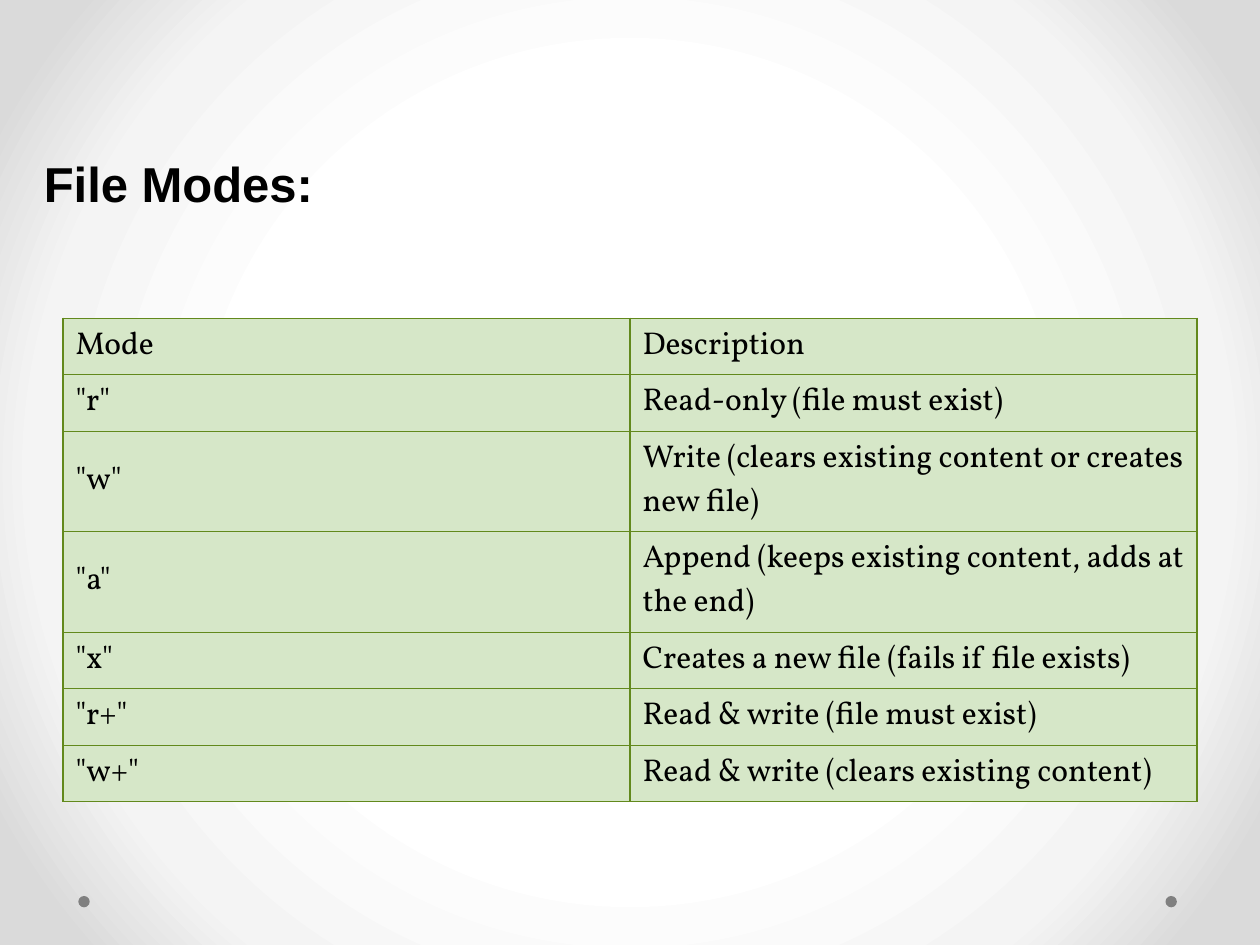
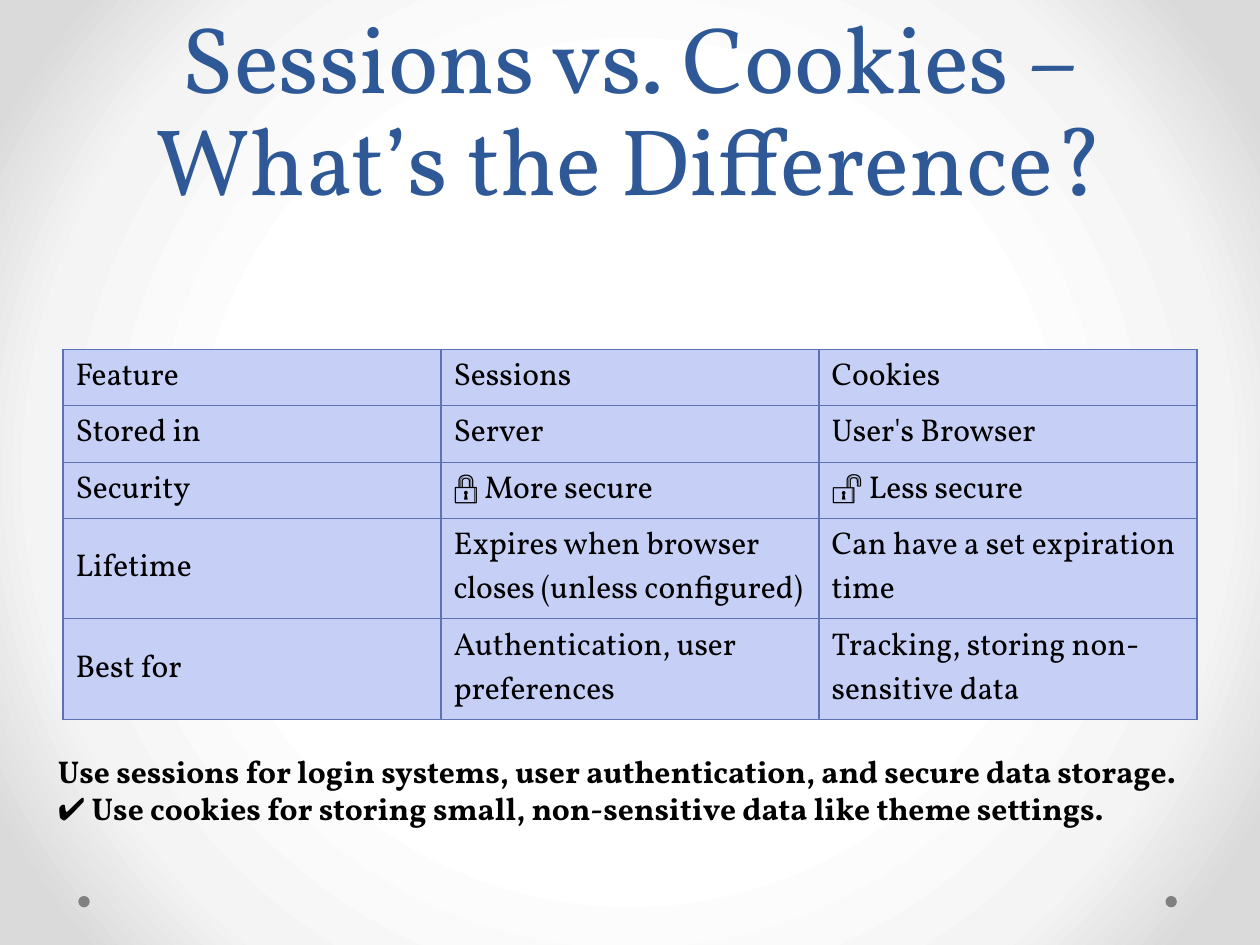
from pptx import Presentation
from pptx.dml.color import RGBColor
from pptx.enum.shapes import MSO_SHAPE
from pptx.enum.text import MSO_ANCHOR, PP_ALIGN
from pptx.oxml import parse_xml
from pptx.oxml.ns import nsdecls
from pptx.util import Pt

ELLIPSE = MSO_SHAPE.OVAL
TOP, MIDDLE, BOTTOM = MSO_ANCHOR.TOP, MSO_ANCHOR.MIDDLE, MSO_ANCHOR.BOTTOM
LEFT, CENTER = PP_ALIGN.LEFT, PP_ALIGN.CENTER

SLIDE_WIDTH, SLIDE_HEIGHT = 720, 540
BODY_FONT, HEADING_FONT = "Vollkorn", "Arial"
BLACK, TITLE_BLUE, DOT_GRAY = "000000", "2F5897", "808080"
GREEN_FILL, GREEN_LINE = "D6E7C8", "62891C"
BLUE_FILL, BLUE_LINE = "C6CFF5", "5C72B2"
BACKDROP_STOPS = [(50, "FFFFFF"), (76, "F4F4F4"), (92, "DADADA")]
DOT_SIZE, DOT_TOP, DOT_LEFTS = 6.5, 512, (44.75, 666)
TABLE_LEFT, TABLE_WIDTH = 36, 648
LINE_HEIGHT, CELL_PADDING = 25, 7.3

FILE_MODES = [
    ("Mode", "Description"),
    ('"r"', "Read-only (file must exist)"),
    ('"w"', "Write (clears existing content or creates new file)"),
    ('"a"', "Append (keeps existing content, adds at the end)"),
    ('"x"', "Creates a new file (fails if file exists)"),
    ('"r+"', "Read & write (file must exist)"),
    ('"w+"', "Read & write (clears existing content)"),
]
COMPARISON = [
    ("Feature", "Sessions", "Cookies"),
    ("Stored in", "Server", "User's Browser"),
    ("Security", "🔒 More secure", "🔓 Less secure"),
    ("Lifetime", "Expires when browser closes (unless configured)",
     "Can have a set expiration time"),
    ("Best for", "Authentication, user preferences",
     "Tracking, storing non-sensitive data"),
]


def color(value):
    return RGBColor.from_string(value)


def write(paragraph, text, font=BODY_FONT, size=18, ink=BLACK, bold=False):
    """Append a run, turning each newline into a line break."""
    for index, line in enumerate(text.split("\n")):
        if index:
            paragraph.add_line_break()
        if line:
            run = paragraph.add_run()
            run.text = line
            run.font.name = font
            run.font.size = Pt(size)
            run.font.bold = bold
            run.font.color.rgb = color(ink)


def add_text_box(slide, box, anchor=TOP, align=LEFT, spacing=None):
    """Add an empty text box and return its first paragraph."""
    frame = slide.shapes.add_textbox(*map(Pt, box)).text_frame
    frame.word_wrap = True
    frame.vertical_anchor = anchor
    paragraph = frame.paragraphs[0]
    paragraph.alignment = align
    if spacing:
        paragraph.line_spacing = Pt(spacing)
    return paragraph


def add_background(slide):
    stops = "".join(
        f'<a:gs pos="{position * 1000}"><a:srgbClr val="{value}"/></a:gs>'
        for position, value in BACKDROP_STOPS)
    background = parse_xml(
        f'<p:bg {nsdecls("p", "a")}><p:bgPr><a:gradFill rotWithShape="1">'
        f'<a:gsLst>{stops}</a:gsLst><a:path path="circle">'
        '<a:fillToRect l="50000" t="50000" r="50000" b="50000"/></a:path>'
        '</a:gradFill><a:effectLst/></p:bgPr></p:bg>')
    slide.element.cSld.insert(0, background)


def add_base_slide(presentation):
    slide = presentation.slides.add_slide(presentation.slide_layouts[6])
    add_background(slide)
    for left in DOT_LEFTS:
        dot = slide.shapes.add_shape(
            ELLIPSE, Pt(left), Pt(DOT_TOP), Pt(DOT_SIZE), Pt(DOT_SIZE))
        dot.shadow.inherit = False
        dot.fill.solid()
        dot.fill.fore_color.rgb = color(DOT_GRAY)
        dot.line.fill.background()
    return slide


def style_cell(cell, fill, line):
    properties = cell._tc.get_or_add_tcPr()
    for side in ("lnL", "lnR", "lnT", "lnB"):
        properties.append(parse_xml(
            f'<a:{side} {nsdecls("a")} w="{Pt(0.75)}"><a:solidFill>'
            f'<a:srgbClr val="{line}"/></a:solidFill></a:{side}>'))
    cell.fill.solid()
    cell.fill.fore_color.rgb = color(fill)
    cell.vertical_anchor = MIDDLE


def add_grid(slide, top, rows, two_line_rows, fill, line):
    """Add a table with equal columns; two_line_rows lists the taller rows."""
    line_counts = [2 if index in two_line_rows else 1
                   for index in range(len(rows))]
    heights = [count * LINE_HEIGHT + CELL_PADDING for count in line_counts]
    columns = len(rows[0])
    table = slide.shapes.add_table(
        len(rows), columns, Pt(TABLE_LEFT), Pt(top),
        Pt(TABLE_WIDTH), Pt(sum(heights))).table
    table.first_row = table.horz_banding = False
    for column in table.columns:
        column.width = Pt(TABLE_WIDTH / columns)
    for row_index, texts in enumerate(rows):
        table.rows[row_index].height = Pt(heights[row_index])
        for column_index, text in enumerate(texts):
            cell = table.cell(row_index, column_index)
            style_cell(cell, fill, line)
            write(cell.text_frame.paragraphs[0], text)


def build_file_modes_slide(presentation):
    slide = add_base_slide(presentation)
    add_grid(slide, 181.75, FILE_MODES, (2, 3), GREEN_FILL, GREEN_LINE)
    heading = add_text_box(slide, (18, 84, 180, 41), anchor=MIDDLE)
    write(heading, "File Modes:", font=HEADING_FONT, size=28, bold=True)


def build_comparison_slide(presentation):
    slide = add_base_slide(presentation)
    title = add_text_box(slide, (36, 0, 648, 126), anchor=BOTTOM,
                         align=CENTER, spacing=58)
    write(title, "Sessions vs. Cookies – What’s the Difference?",
          size=54, ink=TITLE_BLUE)
    add_grid(slide, 199.5, COMPARISON, (3, 4), BLUE_FILL, BLUE_LINE)
    advice = add_text_box(slide, (26, 426, 664.5, 51))
    write(advice, "Use sessions for login systems, user authentication, "
          "and secure data storage.\n", bold=True)
    write(advice, "✔ ")
    write(advice, "Use cookies for storing small, non-sensitive data "
          "like theme settings.", bold=True)


def main():
    presentation = Presentation()
    presentation.slide_width = Pt(SLIDE_WIDTH)
    presentation.slide_height = Pt(SLIDE_HEIGHT)
    build_file_modes_slide(presentation)
    build_comparison_slide(presentation)
    presentation.save("out.pptx")


if __name__ == "__main__":
    main()
